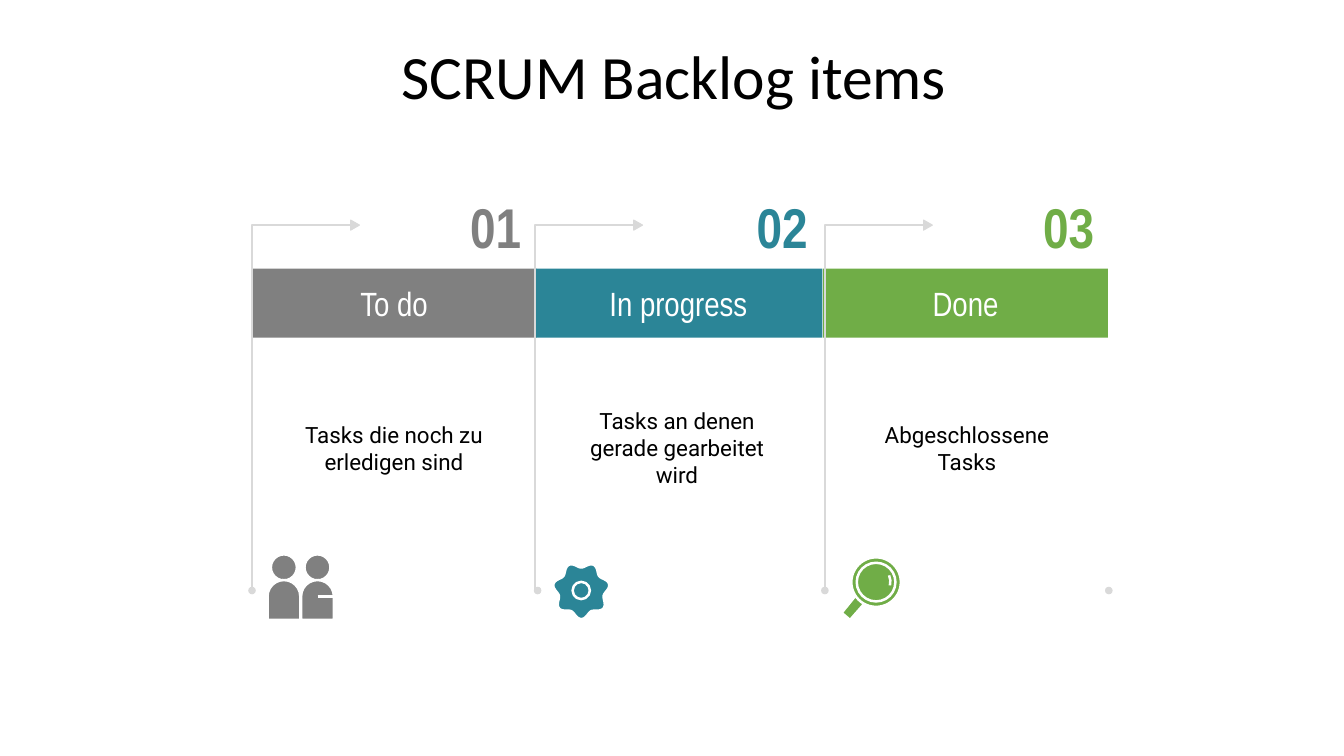
from dataclasses import dataclass
from math import cos, pi, sin

from pptx import Presentation
from pptx.dml.color import RGBColor
from pptx.enum.shapes import MSO_CONNECTOR, MSO_SHAPE as SHAPE
from pptx.enum.text import MSO_ANCHOR as ANCHOR, PP_ALIGN as ALIGN
from pptx.oxml.ns import qn
from pptx.util import Pt
from lxml.etree import SubElement

COLS, ROWS = 160, 90   # square grid cells covering the slide
CELL = 76200           # EMU per cell


@dataclass(frozen=True)
class Theme:
    black: str = "000000"
    white: str = "FFFFFF"
    rail: str = "D9D9D9"
    todo: str = "808080"
    progress: str = "2B8597"
    done: str = "70AD47"
    title: tuple = ("Calibri", 44)
    number: tuple = ("Arial Narrow", 40)
    label: tuple = ("Arial Narrow", 24)
    body: tuple = ("Roboto", 16)
    stroke: float = 1.78
    thin: float = 0.75
    inset: float = 1.56


def cells(*lengths):
    return [round(length * CELL) for length in lengths]


class Board:
    """Holds the theme and the current slide; all lengths are grid cells."""

    def __init__(self, slide, theme):
        self.shapes, self.theme = slide.shapes, theme

    def paint(self, item, fill=None, line=None, width=None):
        item.shadow.inherit = False
        if fill:
            item.fill.solid()
            item.fill.fore_color.rgb = RGBColor.from_string(fill)
        else:
            item.fill.background()
        if line:
            item.line.color.rgb = RGBColor.from_string(line)
            item.line.width = Pt(width or self.theme.stroke)
        else:
            item.line.fill.background()
        return item

    def shape(self, kind, left, top, width, height, fill=None, line=None):
        item = self.shapes.add_shape(kind, *cells(left, top, width, height))
        return self.paint(item, fill, line)

    def disc(self, x, y, size, fill=None, line=None):
        return self.shape(SHAPE.OVAL, x - size / 2, y - size / 2, size, size, fill, line)

    def outline(self, points, fill=None, line=None, width=None, close=True):
        start, *rest = [cells(*point) for point in points]
        builder = self.shapes.build_freeform(*start)
        builder.add_line_segments(rest, close=close)
        return self.paint(builder.convert_to_shape(), fill, line, width)

    def stroke(self, x1, y1, x2, y2, color):
        line = self.shapes.add_connector(MSO_CONNECTOR.STRAIGHT, *cells(x1, y1, x2, y2))
        line.line.color.rgb = RGBColor.from_string(color)
        line.line.width = Pt(self.theme.stroke)
        SubElement(line._element.spPr, qn("a:effectLst"))

    def caption(self, item, words, style, color, align=ALIGN.CENTER,
                anchor=ANCHOR.MIDDLE, bold=False, spacing=None):
        frame = item.text_frame
        frame.word_wrap, frame.vertical_anchor = True, anchor
        inset, = cells(self.theme.inset)
        frame.margin_left = frame.margin_right = inset
        frame.margin_top = frame.margin_bottom = inset
        paragraph = frame.paragraphs[0]
        paragraph.alignment, paragraph.line_spacing = align, spacing
        run = paragraph.add_run()
        run.text = words
        font = run.font
        font.name, font.size, font.bold = style[0], Pt(style[1]), bold
        font.color.rgb = RGBColor.from_string(color)

    def text(self, left, top, width, height, *content, **layout):
        box = self.shapes.add_textbox(*cells(left, top, width, height))
        self.caption(box, *content, **layout)


def people(board, color):
    white = board.theme.white
    for center in (33.8, 37.8):
        board.disc(center, 67.55, 3.1, color, white)
        torso = board.shape(SHAPE.ROUND_2_SAME_RECTANGLE, center - 1.95, 69.05,
                            3.9, 4.75, color, white)
        torso.adjustments[0] = 0.5
    board.stroke(37.8, 71, 39.7, 71, white)


def gear(board, color):
    x, y, teeth, steps = 69.2, 70.3, 7, 140
    rim = []
    for step in range(steps):
        angle = 2 * pi * step / steps
        radius = 3.07 + 0.33 * cos(teeth * angle)
        rim.append((x + radius * sin(angle), y + radius * cos(angle)))
    board.outline(rim, color, board.theme.white)
    board.disc(x, y, 2.05, line=board.theme.white)


def magnifier(board, color):
    white = board.theme.white
    board.outline([(102.35, 70.3), (100.2, 72.95), (101.2, 73.8), (103.4, 71.3)],
                  color, white)
    for size in (5.9, 4.6):
        board.disc(104.3, 69.3, size, color, white)
    board.outline([(105.85, 68.5), (106, 69.1), (105.95, 69.7)], line=white, close=False)


theme = Theme()
deck = Presentation()
deck.slide_width, deck.slide_height = cells(COLS, ROWS)
board = Board(deck.slides.add_slide(deck.slide_layouts[6]), theme)

# Title
board.text(8.5, 5.25, 143.5, 8.4, "SCRUM Backlog items", theme.title, theme.black,
           spacing=0.9)

# Stages: rail x, dot x, bar left, bar width, colour, label, description, icon
stages = [
    (30, 30, 29.9, 34, theme.todo, "To do", "Tasks die noch zu erledigen sind", people),
    (63.7, 64, 63.6, 34.3, theme.progress, "In progress",
     "Tasks an denen gerade gearbeitet wird", gear),
    (98.2, 98.2, 98, 33.9, theme.done, "Done", "Abgeschlossene Tasks", magnifier),
]
RAIL_TOP, RAIL_END, DOT = 26.8, 70.3, 0.9

for index, (rail, dot, left, width, color, label, about, icon) in enumerate(stages):
    # Coloured header bar
    bar = board.shape(SHAPE.RECTANGLE, left, 32, width, 8.2, color)
    board.caption(bar, label, theme.label, theme.white)

    # Rail with end dot and arrowhead
    board.outline([(rail, RAIL_END), (rail, RAIL_TOP), (rail + 12.4, RAIL_TOP)],
                  line=theme.rail, close=False)
    board.disc(dot, RAIL_END, DOT, theme.rail)
    tip = rail + 11.75
    board.outline([(tip, RAIL_TOP - 0.6), (tip, RAIL_TOP + 0.6), (tip + 1.05, RAIL_TOP)],
                  theme.rail, theme.rail, theme.thin)

    # Number, description and icon
    board.text(49.1 + 34.1 * index, 21.4, 14.5, 10.7, f"{index + 1:02}", theme.number,
               color, align=ALIGN.RIGHT, anchor=ANCHOR.TOP, bold=True)
    board.text(rail + 4.1, 47.8, 25.6, 11, about, theme.body, theme.black)
    icon(board, color)

# Closing dot
board.disc(132, RAIL_END, DOT, theme.rail)

deck.save("out.pptx")
